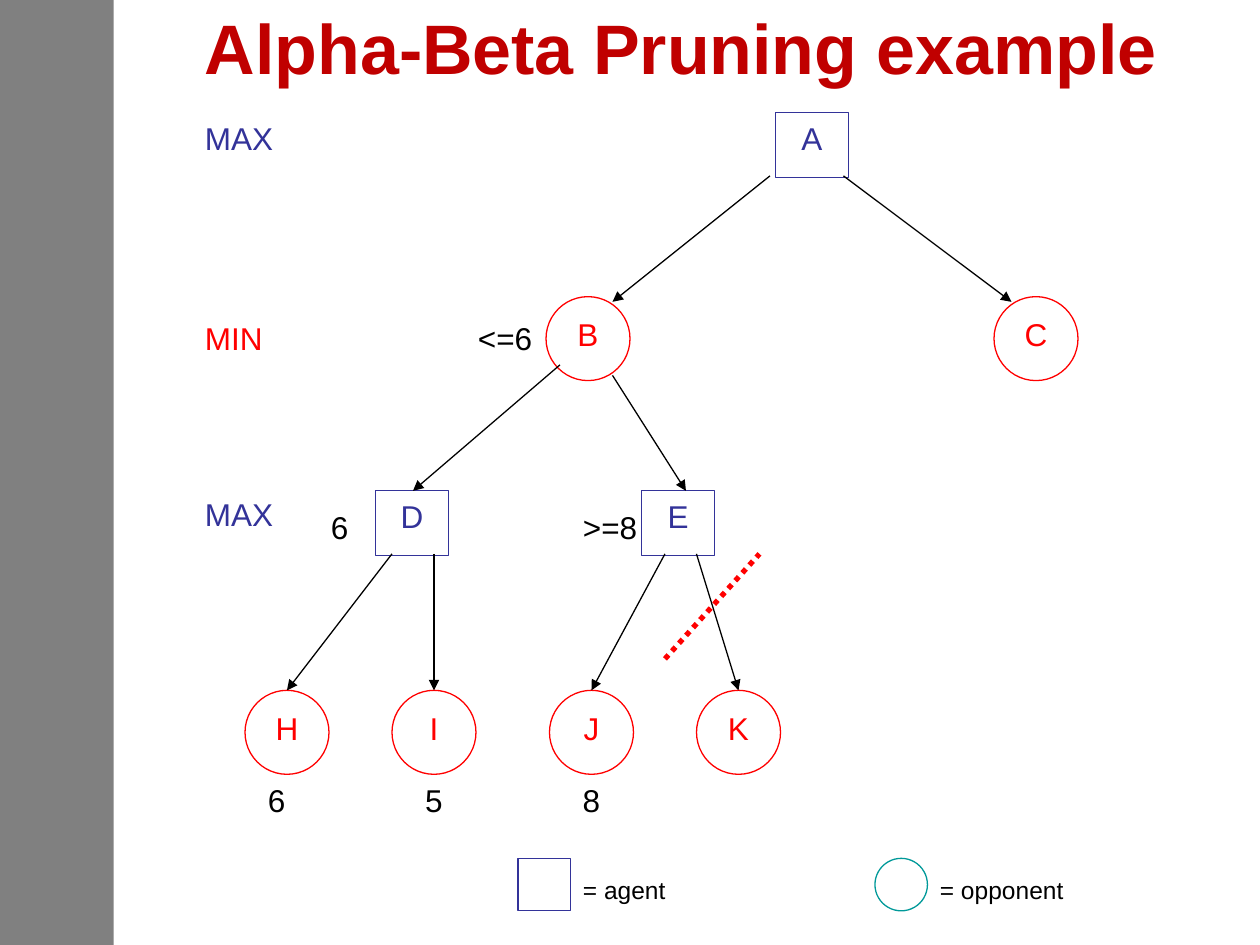
"""Build the alpha-beta pruning game tree slide."""
from dataclasses import dataclass

from lxml.etree import SubElement
from pptx import Presentation
from pptx.dml.color import RGBColor
from pptx.enum.dml import MSO_LINE
from pptx.enum.shapes import MSO_CONNECTOR, MSO_SHAPE as Preset
from pptx.enum.text import MSO_ANCHOR as Anchor, PP_ALIGN as Align
from pptx.oxml.ns import qn
from pptx.util import Pt


@dataclass(frozen=True)
class Theme:
    font: str = "Arial"
    title: str = "C00000"
    agent: str = "333399"
    opponent: str = "FF0000"
    legend: str = "009999"
    ink: str = "000000"
    sidebar: str = "808080"
    title_size: int = 40
    body_size: int = 18
    legend_size: int = 14
    thin: float = 0.75
    thick: float = 3


theme = Theme()
presentation = Presentation()
presentation.slide_width, presentation.slide_height = Pt(720), Pt(540)
slide = presentation.slides.add_slide(presentation.slide_layouts[6])
shapes = slide.shapes


def write(shape, text, color, size=theme.body_size, align=Align.LEFT, anchor=Anchor.TOP):
    text_frame = shape.text_frame
    text_frame.text = text
    text_frame.word_wrap = True
    text_frame.vertical_anchor = anchor
    paragraph = text_frame.paragraphs[0]
    paragraph.alignment = align
    font = paragraph.runs[0].font
    font.name, font.size = theme.font, Pt(size)
    font.color.rgb = RGBColor.from_string(color)
    return font


def draw_line(start, end, color, width):
    connector = shapes.add_connector(MSO_CONNECTOR.STRAIGHT, *map(Pt, start + end))
    connector.line.color.rgb = RGBColor.from_string(color)
    connector.line.width = Pt(width)
    SubElement(connector._element.spPr, qn("a:effectLst"))
    return connector.line


sidebar = shapes.add_shape(Preset.RECTANGLE, 0, 0, Pt(65), Pt(540))
sidebar.shadow.inherit = False
sidebar.fill.solid()
sidebar.fill.fore_color.rgb = RGBColor.from_string(theme.sidebar)
sidebar.line.fill.background()

title = shapes.add_textbox(Pt(110), 0, Pt(606), Pt(54))
write(title, "Alpha-Beta Pruning example", theme.title, theme.title_size,
      anchor=Anchor.BOTTOM).bold = True

agent = (Preset.RECTANGLE, 42, 37, theme.agent)
opponent = (Preset.OVAL, 48, 48, theme.opponent)
nodes = [
    ("A", 443, 64.5, agent),
    ("B", 312, 169.5, opponent),
    ("C", 568, 169.5, opponent),
    ("D", 214.5, 280.5, agent),
    ("E", 366.5, 280.5, agent),
    ("H", 140, 394.5, opponent),
    ("I", 224, 394.5, opponent),
    ("J", 314, 394.5, opponent),
    ("K", 398, 394.5, opponent),
    ("", 296, 490.5, (Preset.RECTANGLE, 30, 30, theme.agent)),
    ("", 500, 490.5, (Preset.OVAL, 30, 30, theme.legend)),
]
for name, left, top, (preset, width, height, color) in nodes:
    node = shapes.add_shape(preset, Pt(left), Pt(top), Pt(width), Pt(height))
    node.shadow.inherit = False
    node.fill.background()
    node.line.color.rgb = RGBColor.from_string(color)
    node.line.width = Pt(theme.thin)
    if name:
        write(node, name, color, align=Align.CENTER)

edges = [
    ((440, 100.5), (350, 172.5)),
    ((482, 100.5), (578, 172.5)),
    ((320, 208.5), (236, 280.5)),
    ((350, 214.5), (392, 280.5)),
    ((224, 316.5), (164, 394.5)),
    ((248, 316.5), (248, 394.5)),
    ((380, 316.5), (338, 394.5)),
    ((398, 316.5), (422, 394.5)),
]
for start, end in edges:
    edge = draw_line(start, end, theme.ink, theme.thin)
    SubElement(edge._get_or_add_ln(), qn("a:tailEnd"), type="triangle")

cut = draw_line((380, 376.5), (434, 316.5), theme.opponent, theme.thick)
cut.dash_style = MSO_LINE.ROUND_DOT

labels = [
    ("MAX", 110, 64.5, 78, theme.agent, theme.body_size, Align.LEFT),
    ("MIN", 110, 178.5, 78, theme.opponent, theme.body_size, Align.LEFT),
    ("MAX", 110, 279.5, 78, theme.agent, theme.body_size, Align.LEFT),
    ("<=6", 266, 178.5, 84, theme.ink, theme.body_size, Align.LEFT),
    ("6", 182, 286.5, 84, theme.ink, theme.body_size, Align.LEFT),
    (">=8", 326, 286.5, 84, theme.ink, theme.body_size, Align.LEFT),
    ("6", 128, 442.5, 60, theme.ink, theme.body_size, Align.CENTER),
    ("5", 212, 442.5, 72, theme.ink, theme.body_size, Align.CENTER),
    ("8", 302, 442.5, 72, theme.ink, theme.body_size, Align.CENTER),
    ("= agent", 326, 496.5, 132, theme.ink, theme.legend_size, Align.LEFT),
    ("= opponent", 530, 496.5, 132, theme.ink, theme.legend_size, Align.LEFT),
]
for text, left, top, width, color, size, align in labels:
    label = shapes.add_textbox(Pt(left), Pt(top), Pt(width), Pt(size + 11))
    write(label, text, color, size, align)

presentation.save("out.pptx")
